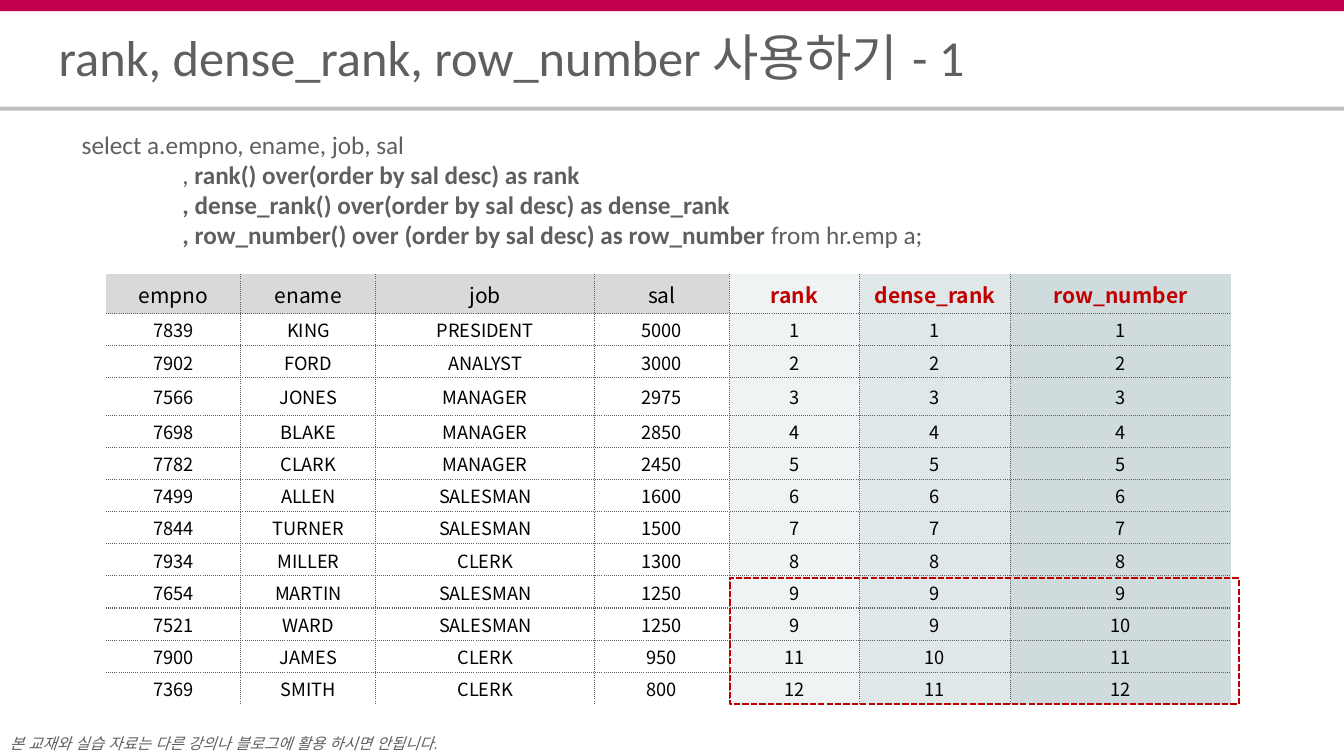
"""Builds the slide that compares rank, dense_rank and row_number."""
from lxml import etree
from pptx import Presentation
from pptx.dml.color import RGBColor
from pptx.enum.dml import MSO_LINE
from pptx.enum.shapes import MSO_SHAPE
from pptx.enum.text import MSO_ANCHOR, PP_ALIGN
from pptx.oxml.ns import qn
from pptx.util import Cm, Pt

RECTANGLE = MSO_SHAPE.RECTANGLE
DASH = MSO_LINE.SQUARE_DOT
TOP, MIDDLE = MSO_ANCHOR.TOP, MSO_ANCHOR.MIDDLE
LEFT, CENTER = PP_ALIGN.LEFT, PP_ALIGN.CENTER

COLORS = {
    "accent": "C3004D", "rule": "BFBFBF", "gray": "5F5F5F", "black": "000000",
    "red": "C00000", "header": "D9D9D9", "rank": "EFF3F4",
    "dense_rank": "DFE7E9", "row_number": "D0DBDE",
}
HEADERS = ["empno", "ename", "job", "sal", "rank", "dense_rank", "row_number"]
COLUMN_WIDTHS = [3.4, 3.4, 5.51, 3.4, 3.28, 3.8, 5.56]
EMPLOYEES = [
    (7839, "KING", "PRESIDENT", 5000, 1, 1, 1),
    (7902, "FORD", "ANALYST", 3000, 2, 2, 2),
    (7566, "JONES", "MANAGER", 2975, 3, 3, 3),
    (7698, "BLAKE", "MANAGER", 2850, 4, 4, 4),
    (7782, "CLARK", "MANAGER", 2450, 5, 5, 5),
    (7499, "ALLEN", "SALESMAN", 1600, 6, 6, 6),
    (7844, "TURNER", "SALESMAN", 1500, 7, 7, 7),
    (7934, "MILLER", "CLERK", 1300, 8, 8, 8),
    (7654, "MARTIN", "SALESMAN", 1250, 9, 9, 9),
    (7521, "WARD", "SALESMAN", 1250, 9, 9, 10),
    (7900, "JAMES", "CLERK", 950, 11, 10, 11),
    (7369, "SMITH", "CLERK", 800, 12, 11, 12),
]
ROW_HEIGHTS = [0.99, 0.81, 0.81, 0.94] + [0.81] * 9
QUERY = [
    [("select a.empno, ename, job, sal", False)],
    [("\t, ", False), ("rank() over(order by sal desc) as rank", True)],
    [("\t, dense_rank() over(order by sal desc) as dense_rank", True)],
    [("\t, row_number() over (order by sal desc) as row_number ", True),
     ("from hr.emp a;", False)],
]


def color(name):
    return RGBColor.from_string(COLORS[name])


def write_text(paragraph, text, size=18, font="Calibri", ink="gray",
               bold=False, italic=False, align=LEFT, spacing=None):
    paragraph.alignment = align
    if spacing:
        paragraph.line_spacing = spacing
    run = paragraph.add_run()
    run.text = text
    run.font.size = Pt(size)
    run.font.name = font
    run.font.bold = bold
    run.font.italic = italic
    run.font.color.rgb = color(ink)
    etree.SubElement(run._r.get_or_add_rPr(), qn("a:ea"), typeface="Arial")


class SlideBuilder:
    def __init__(self, slide, table_font="Noto Sans CJK KR"):
        self.slide = slide
        self.table_font = table_font

    def rectangle(self, left, top, width, height, fill=None, line=None):
        shape = self.slide.shapes.add_shape(
            RECTANGLE, Cm(left), Cm(top), Cm(width), Cm(height))
        shape.shadow.inherit = False
        if fill:
            shape.fill.solid()
            shape.fill.fore_color.rgb = color(fill)
        else:
            shape.fill.background()
        if line:
            shape.line.color.rgb = color(line)
            shape.line.width = Pt(1.5)
            shape.line.dash_style = DASH
        else:
            shape.line.fill.background()

    def text_frame(self, left, top, width, height, margins=(0, 0), anchor=TOP):
        frame = self.slide.shapes.add_textbox(
            Cm(left), Cm(top), Cm(width), Cm(height)).text_frame
        frame.word_wrap = True
        frame.vertical_anchor = anchor
        frame.margin_left = frame.margin_right = Cm(margins[0])
        frame.margin_top = frame.margin_bottom = Cm(margins[1])
        return frame

    def line_of_text(self, text, left, top, width, height, anchor=TOP, **style):
        frame = self.text_frame(left, top, width, height, anchor=anchor)
        write_text(frame.paragraphs[0], text, **style)

    def code(self, lines, left, top, width, height, tab=2.54):
        frame = self.text_frame(left, top, width, height, margins=(0.25, 0.13))
        for index, line in enumerate(lines):
            paragraph = frame.add_paragraph() if index else frame.paragraphs[0]
            properties = paragraph._p.get_or_add_pPr()
            tabs = etree.SubElement(properties, qn("a:tabLst"))
            etree.SubElement(tabs, qn("a:tab"), pos=str(Cm(tab)), algn="l")
            for text, bold in line:
                write_text(paragraph, text, bold=bold)

    def border(self, cell, side, visible):
        line = etree.SubElement(cell._tc.get_or_add_tcPr(), qn("a:ln" + side),
                                w=str(Pt(1)))
        if visible:
            fill = etree.SubElement(line, qn("a:solidFill"))
            etree.SubElement(fill, qn("a:srgbClr"), val=COLORS["gray"])
            etree.SubElement(line, qn("a:prstDash"), val="sysDot")
        else:
            etree.SubElement(line, qn("a:noFill"))

    def cell(self, cell, text, fill, inner_sides, **style):
        cell.vertical_anchor = MIDDLE
        cell.margin_left = cell.margin_right = cell.margin_top = Cm(0.02)
        cell.margin_bottom = 0
        for side, visible in inner_sides.items():
            self.border(cell, side, visible)
        if fill:
            cell.fill.solid()
            cell.fill.fore_color.rgb = color(fill)
        else:
            cell.fill.background()
        write_text(cell.text_frame.paragraphs[0], text,
                   font=self.table_font, align=CENTER, **style)

    def table(self, rows, left, top, widths, heights):
        table = self.slide.shapes.add_table(
            len(rows), len(widths), Cm(left), Cm(top),
            Cm(sum(widths)), Cm(sum(heights))).table
        table.first_row = table.horz_banding = False
        for column, width in zip(table.columns, widths):
            column.width = Cm(width)
        for row, height in zip(table.rows, heights):
            row.height = Cm(height)
        for r, values in enumerate(rows):
            header = r == 0
            for c, value in enumerate(values):
                ranked = HEADERS[c] in COLORS
                highlighted = header and ranked
                fill = HEADERS[c] if ranked else "header" if header else None
                inner_sides = {"L": c > 0, "R": c < len(widths) - 1,
                               "T": r > 0, "B": r < len(rows) - 1}
                self.cell(table.cell(r, c), str(value), fill, inner_sides,
                          size=15 if header else 13, bold=highlighted,
                          ink="red" if highlighted else "black")


def main():
    presentation = Presentation()
    presentation.slide_width, presentation.slide_height = Cm(33.87), Cm(19.05)
    slide = presentation.slides.add_slide(presentation.slide_layouts[6])
    builder = SlideBuilder(slide)
    builder.rectangle(0, 0, 33.87, 0.28, fill="accent")
    builder.rectangle(0, 2.69, 33.87, 0.1, fill="rule")
    builder.line_of_text("본 교재와 실습 자료는 다른 강의나 블로그에 활용 하시면 안됩니다.",
                         0.25, 18.26, 12.22, 0.79, size=11, font="Arial",
                         italic=True, spacing=1.5)
    builder.line_of_text("rank, dense_rank, row_number 사용하기 - 1",
                         1.48, 0.84, 30.91, 1.47, anchor=MIDDLE, size=36,
                         spacing=0.8)
    builder.table([HEADERS] + EMPLOYEES, 2.67, 6.91, COLUMN_WIDTHS, ROW_HEIGHTS)
    builder.rectangle(18.39, 14.57, 12.83, 3.18, line="red")
    builder.code(QUERY, 1.81, 3.12, 25.53, 3.33)
    presentation.save("out.pptx")


if __name__ == "__main__":
    main()
